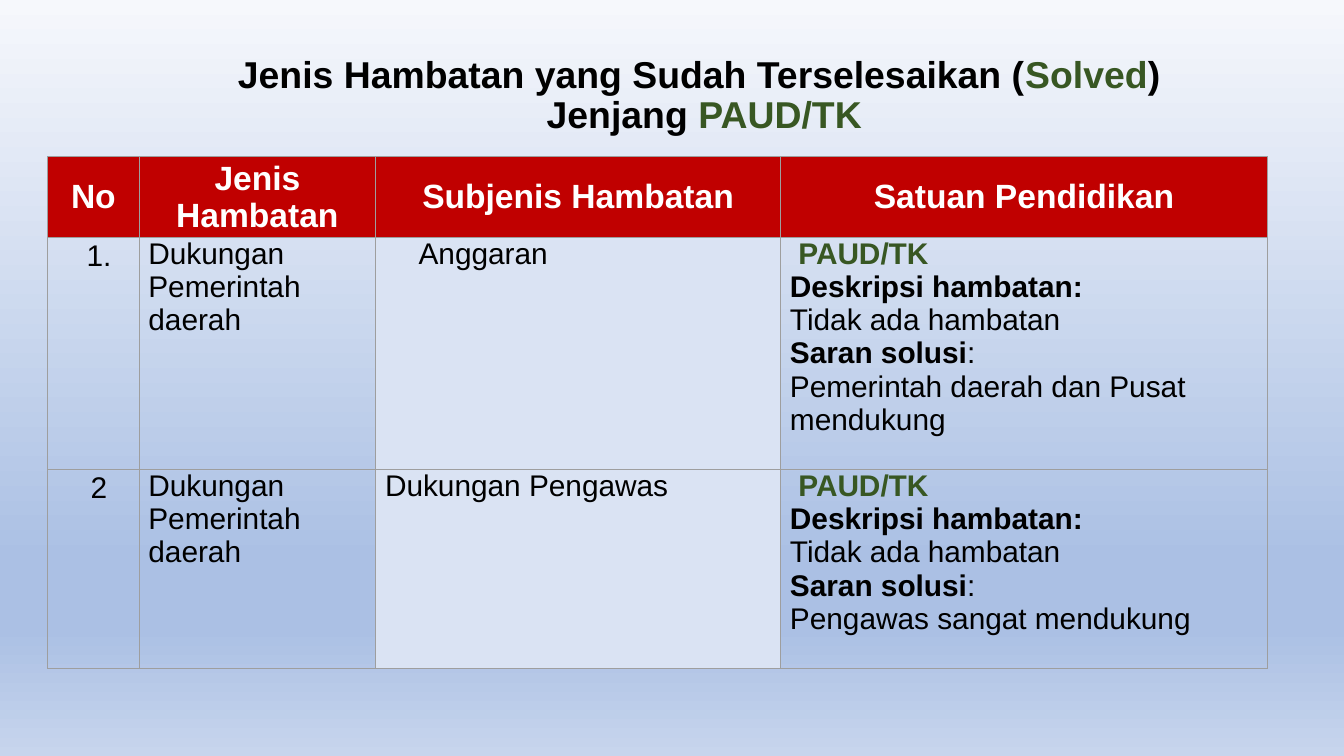
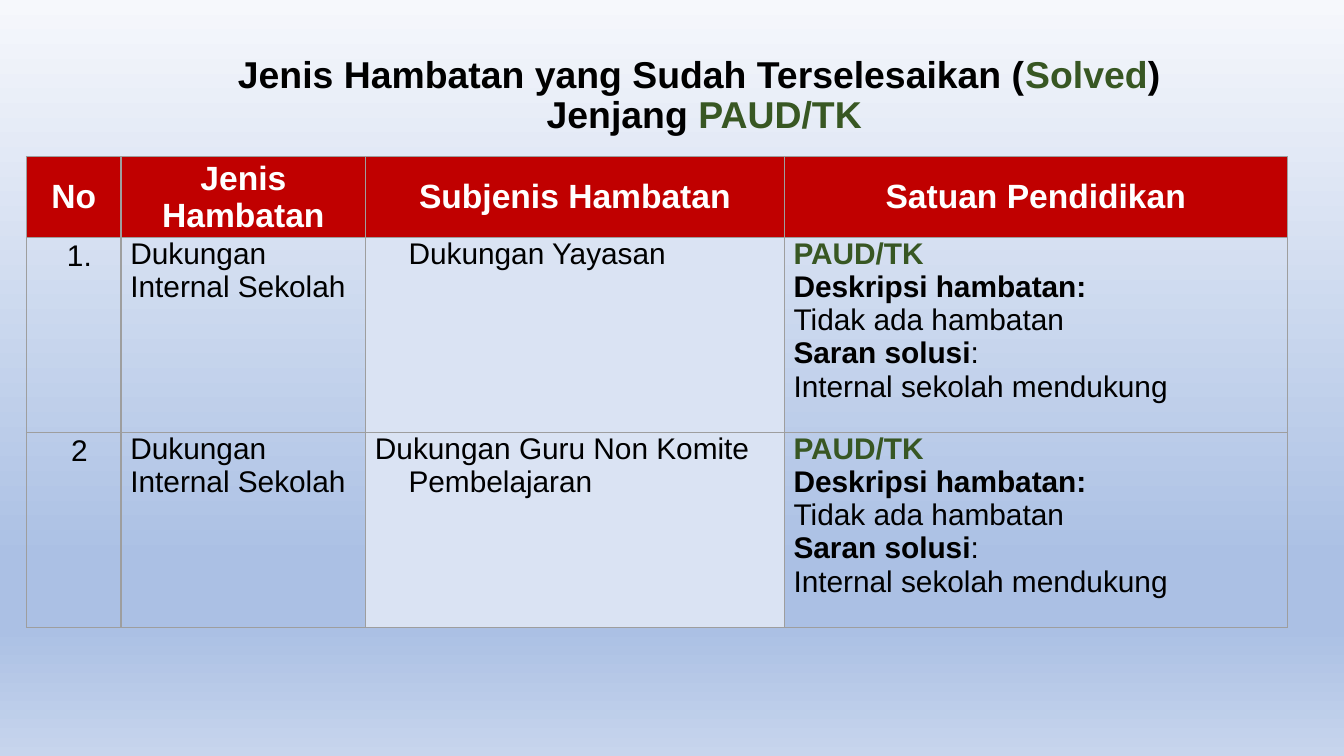
from lxml.etree import SubElement
from pptx import Presentation
from pptx.dml.color import RGBColor
from pptx.enum.text import MSO_ANCHOR as Anchor, PP_ALIGN as Align
from pptx.oxml import parse_xml
from pptx.oxml.ns import nsdecls, qn
from pptx.util import Pt

FONT = "Arial"
BLACK, WHITE, GREEN, RED = "000000", "FFFFFF", "385723", "C00000"
PALE_BLUE, GREY = "DAE3F3", "9E9E9E"
BACKDROP = [(0, "F6F8FC"), (74, "ABC0E4"), (83, "ABC0E4"), (100, "C7D5ED")]
HEADINGS = ["No", "Jenis Hambatan", "Subjenis Hambatan", "Satuan Pendidikan"]
COLUMN_SHARES = [0.075, 0.194, 0.332, 0.399]
LEVEL = "PAUD/TK"
TITLE_LINES = [
    [("Jenis Hambatan yang Sudah Terselesaikan (", BLACK), ("Solved", GREEN), (") ", BLACK)],
    [("Jenjang ", BLACK), (LEVEL, GREEN)],
]
HEADER_HEIGHT = 41.2
HANG = 18


def color(code):
    """Turn a hex string into a colour."""
    return RGBColor.from_string(code)


def apply(target, values):
    """Set every attribute in a dict of format values."""
    for name, value in values.items():
        setattr(target, name, value)


def add_run(paragraph, text, size, ink=BLACK, bold=False):
    """Append one formatted run to a paragraph."""
    run = paragraph.add_run()
    run.text = text
    apply(run.font, {"name": FONT, "size": Pt(size), "bold": bold})
    run.font.color.rgb = color(ink)


def set_indent(paragraph, left, first=0):
    """Set the left margin and first-line indent of a paragraph."""
    properties = paragraph._p.get_or_add_pPr()
    properties.set("marL", str(Pt(left)))
    properties.set("indent", str(Pt(first)))


def paint_background(slide):
    """Fill the slide with the shared vertical gradient."""
    stops = "".join(
        f'<a:gs pos="{place * 1000}"><a:srgbClr val="{code}"/></a:gs>' for place, code in BACKDROP
    )
    background = parse_xml(
        f'<p:bg {nsdecls("p", "a")}><p:bgPr><a:gradFill rotWithShape="1">'
        f'<a:gsLst>{stops}</a:gsLst><a:lin ang="5400000" scaled="0"/>'
        "</a:gradFill><a:effectLst/></p:bgPr></p:bg>"
    )
    slide._element.cSld.insert(0, background)


def add_title(slide):
    """Write the two-line title shared by the slides."""
    frame = slide.shapes.add_textbox(Pt(14.4), Pt(18.7), Pt(725.8), Pt(65.5)).text_frame
    apply(frame, {
        "word_wrap": True, "vertical_anchor": Anchor.MIDDLE,
        "margin_left": Pt(5), "margin_right": Pt(5),
        "margin_top": Pt(2.9), "margin_bottom": Pt(2.9),
    })
    heading = frame.paragraphs[0]
    apply(heading, {"alignment": Align.CENTER, "line_spacing": 0.9})
    for number, line in enumerate(TITLE_LINES):
        if number:
            heading.add_line_break()
        for text, ink in line:
            add_run(heading, text, 20, ink, True)


def style_cell(cell, fill=None, side=0, anchor=Anchor.TOP):
    """Give a cell its margins, borders and fill."""
    apply(cell, {
        "margin_left": Pt(side), "margin_right": Pt(side),
        "margin_top": 0, "margin_bottom": 0, "vertical_anchor": anchor,
    })
    properties = cell._tc.get_or_add_tcPr()
    for edge in ("a:lnL", "a:lnR", "a:lnT", "a:lnB"):
        line = SubElement(properties, qn(edge), w=str(Pt(0.75)))
        SubElement(SubElement(line, qn("a:solidFill")), qn("a:srgbClr"), val=GREY)
    if fill:
        cell.fill.solid()
        cell.fill.fore_color.rgb = color(fill)
    else:
        cell.fill.background()


def fill_header(cell, text):
    """Write a column heading."""
    style_cell(cell, RED, 0.7, Anchor.MIDDLE)
    heading = cell.text_frame.paragraphs[0]
    heading.alignment = Align.CENTER
    add_run(heading, text, 18, WHITE, True)


def fill_number(cell, text):
    """Write a row number."""
    style_cell(cell)
    number = cell.text_frame.paragraphs[0]
    set_indent(number, 6)
    apply(number, {"alignment": Align.CENTER, "line_spacing": 1.07})
    add_run(number, text, 16)


def fill_text(cell, text, fill=None, left=0, first=0):
    """Write a plain one-paragraph cell."""
    style_cell(cell, fill, 5)
    body = cell.text_frame.paragraphs[0]
    set_indent(body, left, first)
    add_run(body, text, 16)


def fill_solution(cell, solution, level_indent):
    """Write the school level, the obstacle and the suggested solution."""
    style_cell(cell, side=5)
    lines = [
        [(LEVEL, GREEN, True)],
        [("Deskripsi hambatan:", BLACK, True)],
        [("Tidak ada hambatan", BLACK, False)],
        [("Saran solusi", BLACK, True), (":", BLACK, False)],
        [(solution, BLACK, False)],
    ]
    frame = cell.text_frame
    for number, line in enumerate(lines):
        paragraph = frame.add_paragraph() if number else frame.paragraphs[0]
        for text, ink, bold in line:
            add_run(paragraph, text, 16, ink, bold)
    set_indent(frame.paragraphs[0], level_indent)


def add_obstacles(slide, left, width, heights, kind, rows, level_indent=0):
    """Draw the table of obstacles of one kind."""
    heights = [HEADER_HEIGHT, *heights]
    table = slide.shapes.add_table(
        len(heights), len(HEADINGS), Pt(left), Pt(84), Pt(width), Pt(sum(heights))
    ).table
    table.horz_banding = False
    for column, share in zip(table.columns, COLUMN_SHARES):
        column.width = Pt(width * share)
    for row, height in zip(table.rows, heights):
        row.height = Pt(height)
    for column, heading in enumerate(HEADINGS):
        fill_header(table.cell(0, column), heading)
    for row, (number, subkind, first, solution) in enumerate(rows, 1):
        fill_number(table.cell(row, 0), number)
        fill_text(table.cell(row, 1), kind)
        fill_text(table.cell(row, 2), subkind, PALE_BLUE, HANG, first)
        fill_solution(table.cell(row, 3), solution, level_indent)


def add_base(deck):
    """Add a slide with the shared background and title."""
    slide = deck.slides.add_slide(deck.slide_layouts[6])
    paint_background(slide)
    add_title(slide)
    return slide


def main():
    """Build the two slides and save them."""
    deck = Presentation()
    apply(deck, {"slide_width": Pt(720), "slide_height": Pt(405)})
    add_obstacles(
        add_base(deck), 25.5, 653.5, [124.4, 106.6], "Dukungan Pemerintah daerah",
        [
            ("1.", "Anggaran", 0, "Pemerintah daerah dan Pusat mendukung"),
            ("2", "Dukungan Pengawas", -HANG, "Pengawas sangat mendukung"),
        ],
        level_indent=4.5,
    )
    add_obstacles(
        add_base(deck), 14.2, 675.5, [104.5, 104.5], "Dukungan Internal Sekolah",
        [
            ("1.", "Dukungan Yayasan", 0, "Internal sekolah mendukung"),
            ("2", "Dukungan Guru Non Komite Pembelajaran", -HANG, "Internal sekolah mendukung"),
        ],
    )
    deck.save("out.pptx")


if __name__ == "__main__":
    main()
